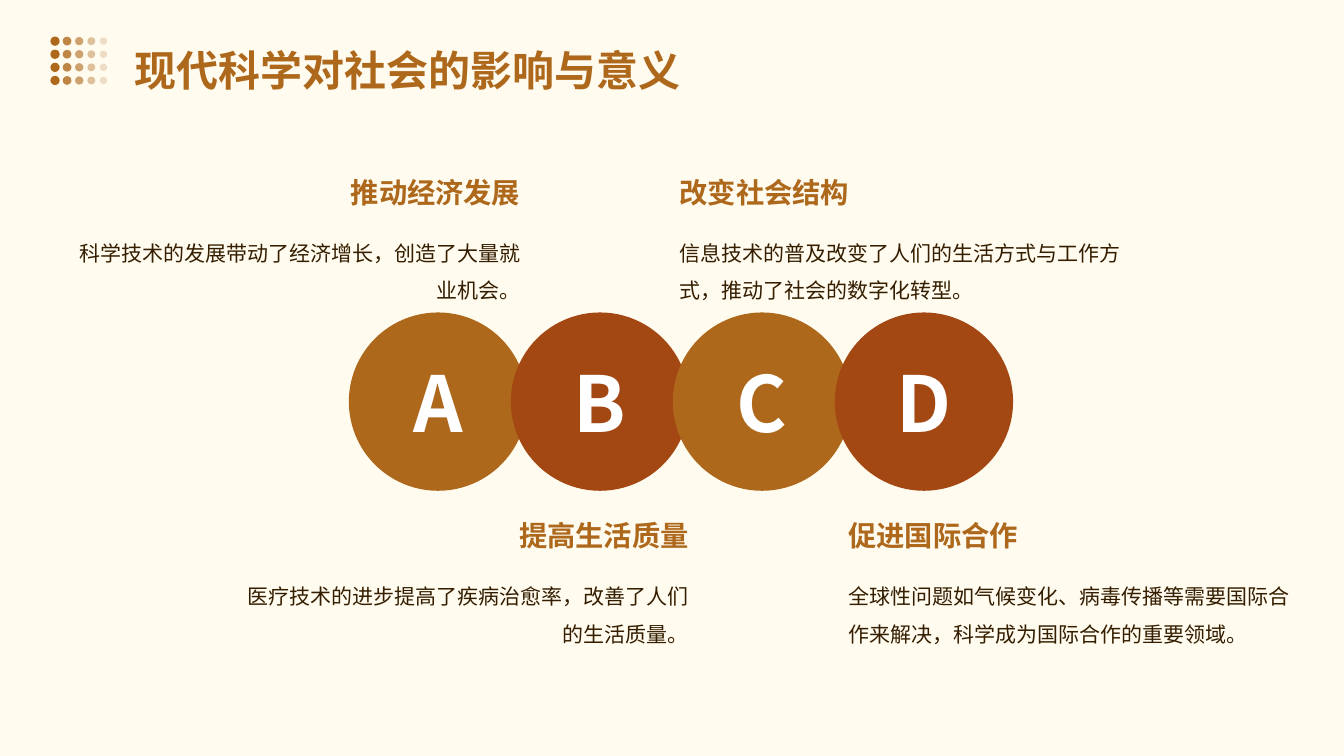
from lxml import etree
from pptx import Presentation
from pptx.dml.color import RGBColor
from pptx.enum import shapes, text
from pptx.oxml.ns import qn
from pptx.util import Pt

FONT = "Noto Sans CJK SC"
CREAM = RGBColor(0xFF, 0xFB, 0xEF)
OCHRE = RGBColor(0xAE, 0x68, 0x1B)
RUST = RGBColor(0xA3, 0x47, 0x13)
BROWN = RGBColor(0x35, 0x1E, 0x00)
WHITE = RGBColor(0xFF, 0xFF, 0xFF)
LEFT, CENTER, RIGHT = text.PP_ALIGN.LEFT, text.PP_ALIGN.CENTER, text.PP_ALIGN.RIGHT
TOP, MIDDLE = text.MSO_ANCHOR.TOP, text.MSO_ANCHOR.MIDDLE

TITLE = "现代科学对社会的影响与意义"
CIRCLES = [("A", OCHRE), ("B", RUST), ("C", OCHRE), ("D", RUST)]
# heading, body, alignment, x of the edge the text is aligned to, top
TOPICS = [
    ("推动经济发展", "科学技术的发展带动了经济增长，创造了大量就业机会。", RIGHT, 376.5, 117.4),
    ("改变社会结构", "信息技术的普及改变了人们的生活方式与工作方式，推动了社会的数字化转型。",
     LEFT, 480.5, 117.4),
    ("提高生活质量", "医疗技术的进步提高了疾病治愈率，改善了人们的生活质量。", RIGHT, 496.8, 362.5),
    ("促进国际合作", "全球性问题如气候变化、病毒传播等需要国际合作来解决，科学成为国际合作的重要领域。",
     LEFT, 601, 362.5),
]

CIRCLE_LEFT, CIRCLE_TOP, CIRCLE_SIZE, CIRCLE_STEP = 249.2, 223.2, 127.4, 115.7
HEADING_WIDTH, HEADING_HEIGHT = 316, 38.7
BODY_WIDTH, BODY_HEIGHT = 325.4, 67
DOT_ROWS, DOT_COLUMNS = 4, 5
DOT_X, DOT_Y, DOT_STEP_X, DOT_STEP_Y = 39.3, 29.4, 8.65, 9.36


def write(shape, words, size, color, bold=False, align=LEFT, spacing=1.0,
          anchor=TOP, margins=(5, 2.8, 5, 2.8)):
    frame = shape.text_frame
    frame.word_wrap = True
    frame.vertical_anchor = anchor
    frame.margin_left, frame.margin_top, frame.margin_right, frame.margin_bottom = map(Pt, margins)
    para = frame.paragraphs[0]
    para.text = words
    para.alignment = align
    para.line_spacing = spacing
    font = para.font
    font.name, font.size, font.bold = FONT, Pt(size), bold
    font.color.rgb = color
    east_asian = etree.SubElement(para._p.pPr.find(qn("a:defRPr")), qn("a:ea"))
    east_asian.set("typeface", FONT)


def add_circle(parent, left, top, size, color, opacity=100):
    circle = parent.add_shape(shapes.MSO_SHAPE.OVAL, Pt(left), Pt(top), Pt(size), Pt(size))
    circle.shadow.inherit = False
    circle.fill.solid()
    circle.fill.fore_color.rgb = color
    circle.line.fill.background()
    if opacity < 100:
        rgb = circle._element.spPr.find(qn("a:solidFill")).find(qn("a:srgbClr"))
        etree.SubElement(rgb, qn("a:alpha")).set("val", str(opacity * 1000))
    return circle


def add_text(page, edge, top, width, height, words, size, color, align, **style):
    """Add a text box whose right or left side, by alignment, lies on edge."""
    left = edge - width if align == RIGHT else edge
    box = page.shapes.add_textbox(Pt(left), Pt(top), Pt(width), Pt(height))
    write(box, words, size, color, align=align, **style)


def main():
    deck = Presentation()
    deck.slide_width, deck.slide_height = Pt(960), Pt(540)
    page = deck.slides.add_slide(deck.slide_layouts[5])
    page.background.fill.solid()
    page.background.fill.fore_color.rgb = CREAM

    title = page.shapes.title
    title.left, title.top, title.width, title.height = Pt(86.4), Pt(7.2), Pt(787.7), Pt(72)
    write(title, TITLE, 30, OCHRE, bold=True, spacing=1.4, margins=(10, 10, 4.3, 10))
    title.text_frame.auto_size = text.MSO_AUTO_SIZE.SHAPE_TO_FIT_TEXT

    for index, (letter, color) in enumerate(CIRCLES):
        circle = add_circle(page.shapes, CIRCLE_LEFT + index * CIRCLE_STEP, CIRCLE_TOP,
                            CIRCLE_SIZE, color)
        write(circle, letter, 55.1, WHITE, bold=True, align=CENTER, anchor=MIDDLE,
              margins=(0, 0, 0, 0))

    dots = page.shapes.add_group_shape()
    for row in range(DOT_ROWS):
        for column in range(DOT_COLUMNS):
            size = 6.6 - 0.35 * column
            add_circle(dots.shapes, DOT_X + column * DOT_STEP_X - size / 2,
                       DOT_Y + row * DOT_STEP_Y - size / 2, size, OCHRE, 100 - 20 * column)

    for heading, body, align, edge, top in TOPICS:
        add_text(page, edge, top, HEADING_WIDTH, HEADING_HEIGHT, heading, 20.2, OCHRE, align,
                 bold=True, spacing=1.2)
        add_text(page, edge, top + HEADING_HEIGHT, BODY_WIDTH, BODY_HEIGHT, body, 15, BROWN,
                 align, spacing=1.5, anchor=MIDDLE)

    deck.save("out.pptx")


if __name__ == "__main__":
    main()
